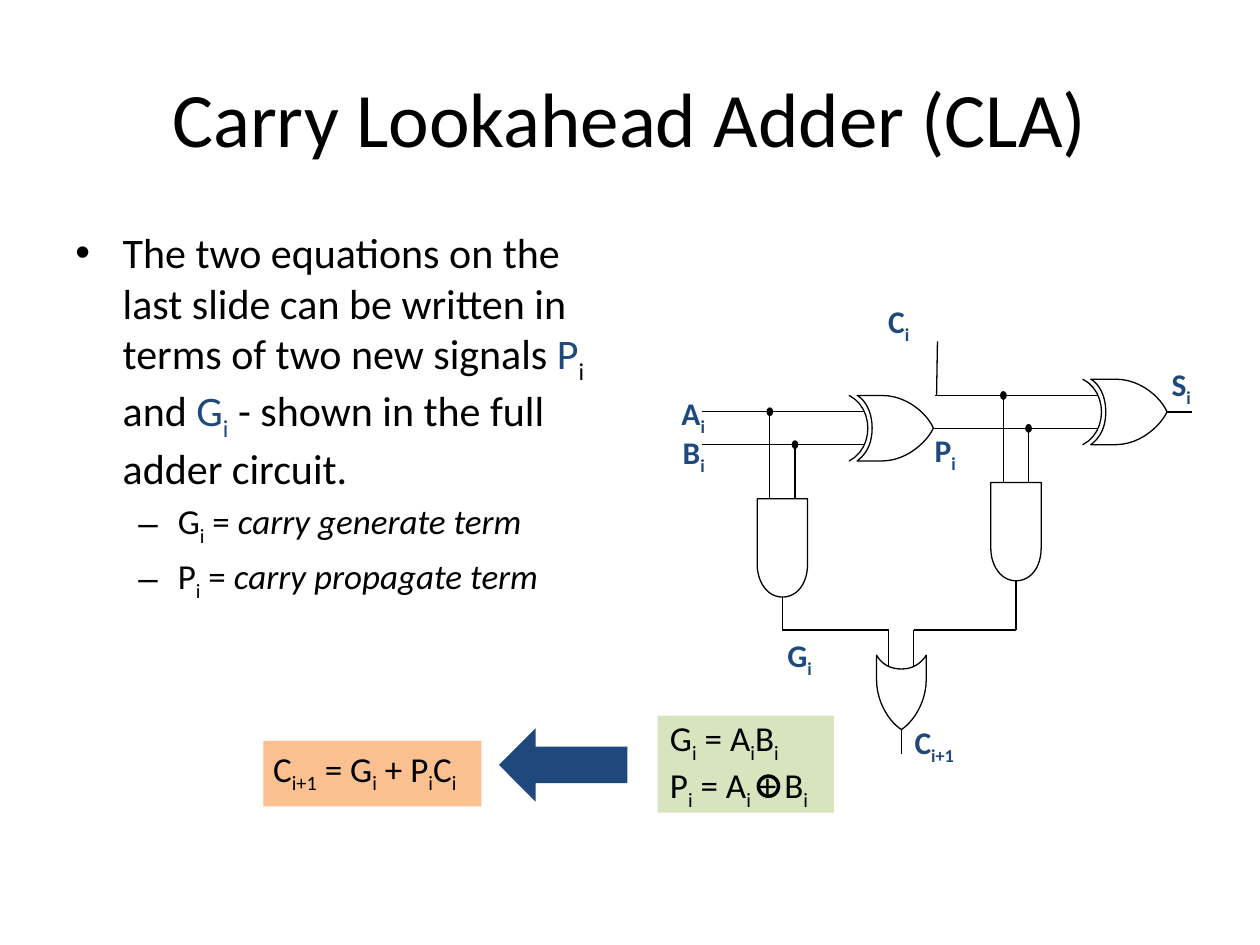
"""Build the slide that explains the carry lookahead adder."""
from lxml import etree
from pptx import Presentation
from pptx import util as u
from pptx.dml.color import RGBColor
from pptx.enum import shapes, text
from pptx.oxml.ns import qn

COLOURS = {"black": "000000", "white": "FFFFFF", "blue": "1F497D",
           "green": "D7E4BD", "orange": "FAC090"}
FONT = "Calibri"
CURVE_STEPS = 12


def colour(name):
    return RGBColor.from_string(COLOURS[name])


def write(paragraph, content, size=20, ink="black", bold=False, italic=False):
    """Add text to a paragraph, lowering whatever stands in braces."""
    for index, piece in enumerate(content.replace("}", "{").split("{")):
        if not piece:
            continue
        run = paragraph.add_run()
        run.text = piece
        font = run.font
        font.name, font.size, font.bold, font.italic = FONT, u.Pt(size), bold, italic
        font.color.rgb = colour(ink)
        if index % 2:
            run._r.get_or_add_rPr().set("baseline", "-25000")


def bezier(p0, p1, p2, p3):
    for step in range(1, CURVE_STEPS + 1):
        t = step / CURVE_STEPS
        s = 1 - t
        yield tuple(s**3 * a + 3 * s * s * t * b + 3 * s * t * t * c + t**3 * d
                    for a, b, c, d in zip(p0, p1, p2, p3))


class Canvas:
    """Hold the slide and the style of its elements."""

    def __init__(self, slide, line_width=0.75):
        self.slide = slide
        self.line_width = line_width

    def text_box(self, left, top, width, height, anchor=text.MSO_ANCHOR.TOP):
        box = self.slide.shapes.add_textbox(*map(u.Pt, (left, top, width, height)))
        frame = box.text_frame
        frame.word_wrap = True
        frame.vertical_anchor = anchor
        return frame

    def label(self, content, left, top, width=54, height=29, **style):
        frame = self.text_box(left, top, width, height)
        write(frame.paragraphs[0], content, **style)

    def bullet(self, paragraph, mark, indent, hanging, before=0):
        properties = paragraph._p.get_or_add_pPr()
        properties.set("marL", str(u.Pt(indent)))
        properties.set("indent", str(-u.Pt(hanging)))
        etree.SubElement(properties, qn("a:buFont")).set("typeface", "Arial")
        etree.SubElement(properties, qn("a:buChar")).set("char", mark)
        paragraph.space_before = u.Pt(before)

    def shape(self, kind, left, top, width, height, fill=None, line=None):
        shape = self.slide.shapes.add_shape(kind, *map(u.Pt, (left, top, width, height)))
        shape.shadow.inherit = False
        if fill:
            shape.fill.solid()
            shape.fill.fore_color.rgb = colour(fill)
        else:
            shape.fill.background()
        if line:
            shape.line.color.rgb = colour("black")
            shape.line.width = u.Pt(line)
        else:
            shape.line.fill.background()

    def wire(self, *points):
        for start, end in zip(points, points[1:]):
            wire = self.slide.shapes.add_connector(
                shapes.MSO_CONNECTOR.STRAIGHT, *map(u.Pt, start + end))
            wire.line.color.rgb = colour("black")
            wire.line.width = u.Pt(self.line_width)
            etree.SubElement(wire._element.spPr, qn("a:effectLst"))

    def dot(self, x, y):
        self.shape(shapes.MSO_SHAPE.OVAL, x - 1.9, y - 2.5, 3.8, 5, fill="black")

    def outline(self, x, y, start, *segments):
        """Draw a closed outline from lines (one point) and curves (three points)."""
        points = [start]
        for segment in segments:
            points += segment if len(segment) == 1 else bezier(points[-1], *segment)
        placed = [(u.Pt(x + px), u.Pt(y + py)) for px, py in points]
        builder = self.slide.shapes.build_freeform(*placed[0])
        builder.add_line_segments(placed[1:], close=True)
        shape = builder.convert_to_shape()
        shape.shadow.inherit = False
        shape.fill.solid()
        shape.fill.fore_color.rgb = colour("white")
        shape.line.color.rgb = colour("black")
        shape.line.width = u.Pt(self.line_width)

    def and_gate(self, x, y):
        self.outline(x, y, (0, 0), [(28.8, 0)], [(28.8, 37.4)],
                     [(28.8, 48.2), (23, 56.2), (14.4, 56.2)],
                     [(5.8, 56.2), (0, 47.5), (0, 37.4)])

    def xor_gate(self, x, y):
        self.outline(x - 4.5, y, (0, 0), [(14.2, 7.2), (14.2, 30.2), (0, 37.4)],
                     [(14.2, 30.2), (14.2, 7.2), (0, 0)])
        self.outline(x, y, (0, 0), [(14.4, 0)],
                     [(28.8, 0), (40.3, 10.8), (43.6, 18.7)],
                     [(40.3, 25.9), (28.8, 37.4), (14.4, 37.4)], [(0, 37.4)],
                     [(2.9, 35.3), (8.6, 30.2), (8.6, 18.7)],
                     [(8.6, 7.2), (2.9, 1.4), (0, 0)])

    def or_gate(self, x, y):
        self.outline(x, y, (0, 0), [(1.4, 2.2), (5, 7.9), (14.2, 7.9)],
                     [(23, 7.9), (27, 2.2), (28.4, 0)], [(28.4, 13.7)],
                     [(28.4, 28.1), (20, 38.9), (14.2, 42.5)],
                     [(8.4, 38.9), (0, 28.1), (0, 13.7)])

    def half_adder(self, x, y, carry_y, carry_x):
        """Draw an XOR gate and an AND gate that share two inputs."""
        for tap, level in ((38.9, 0), (53.3, 18.8)):
            self.wire((x, y + level), (x + 93, y + level))
            self.wire((x + tap, y + level), (x + tap, y + 49.7))
            self.dot(x + tap, y + level)
        self.xor_gate(x + 88.8, y - 9.3)
        self.wire((x + 132.4, y + 9.4), (x + 146.8, y + 9.4))
        self.and_gate(x + 31.7, y + 49.7)
        self.wire((x + 46.1, y + 105.9), (x + 46.1, carry_y), (carry_x, carry_y),
                  (carry_x, carry_y + 20.7))


def add_body(canvas):
    frame = canvas.text_box(36, 126, 318.2, 356.4)
    paragraph = frame.paragraphs[0]
    canvas.bullet(paragraph, "•", 27, 27)
    for content, ink in (
            ("The two equations on the last slide can be written in terms of two new signals ", "black"),
            ("P", "blue"), ("{i} and ", "black"), ("G{i}", "blue"),
            (" - shown in the full adder circuit.", "black")):
        write(paragraph, content, size=24, ink=ink)
    for signal, meaning in (("G", "generate"), ("P", "propagate")):
        paragraph = frame.add_paragraph()
        canvas.bullet(paragraph, "–", 58.5, 22.5, before=4)
        write(paragraph, signal + "{i} = ")
        write(paragraph, f"carry {meaning} term", italic=True)


def add_circuit(canvas):
    carry_y = 360
    canvas.half_adder(401, 235.3, carry_y, 507.9)
    canvas.half_adder(534.5, 226, carry_y, 522.2)
    canvas.wire((535.7, 195.1), (535.2, 226))
    canvas.or_gate(500.9, 374.4)
    canvas.wire((515.1, 416.9), (515.1, 430.6))
    for content, left, top in (
            ("S{i}", 662.4, 205.2), ("C{i}", 500.4, 169.2), ("A{i}", 382.3, 221.8),
            ("B{i}", 383, 244.1), ("C{i+1}", 515.5, 409.7), ("P{i}", 527, 242.6),
            ("G{i}", 442.8, 360)):
        canvas.label(content, left, top, size=18, ink="blue", bold=True)


def add_equations(canvas):
    kinds = shapes.MSO_SHAPE
    canvas.shape(kinds.RECTANGLE, 375.8, 409, 100.8, 55.4, fill="green")
    canvas.label("G{i} = A{i}B{i}", 375.8, 406.1, 105, 31.5)
    canvas.label("P{i} = A{i} + B{i}", 375.8, 432.7, 100.8, 31.5)
    canvas.shape(kinds.OVAL, 433.4, 443.5, 11.5, 11.5, line=2)
    canvas.shape(kinds.RECTANGLE, 150.5, 423.4, 124.6, 37.4, fill="orange")
    canvas.label("C{i+1} = G{i} + P{i}C{i}", 149, 423.4, 124.6, 31.5)
    canvas.shape(kinds.LEFT_ARROW, 285.1, 416.2, 73.4, 41.8, fill="blue")


def main():
    presentation = Presentation()
    presentation.slide_width, presentation.slide_height = u.Pt(720), u.Pt(540)
    canvas = Canvas(presentation.slides.add_slide(presentation.slide_layouts[6]))
    title = canvas.text_box(36, 21.6, 648, 90, text.MSO_ANCHOR.MIDDLE).paragraphs[0]
    title.alignment = text.PP_ALIGN.CENTER
    write(title, "Carry Lookahead Adder (CLA)", size=44)
    add_body(canvas)
    add_circuit(canvas)
    add_equations(canvas)
    presentation.save("out.pptx")


if __name__ == "__main__":
    main()
